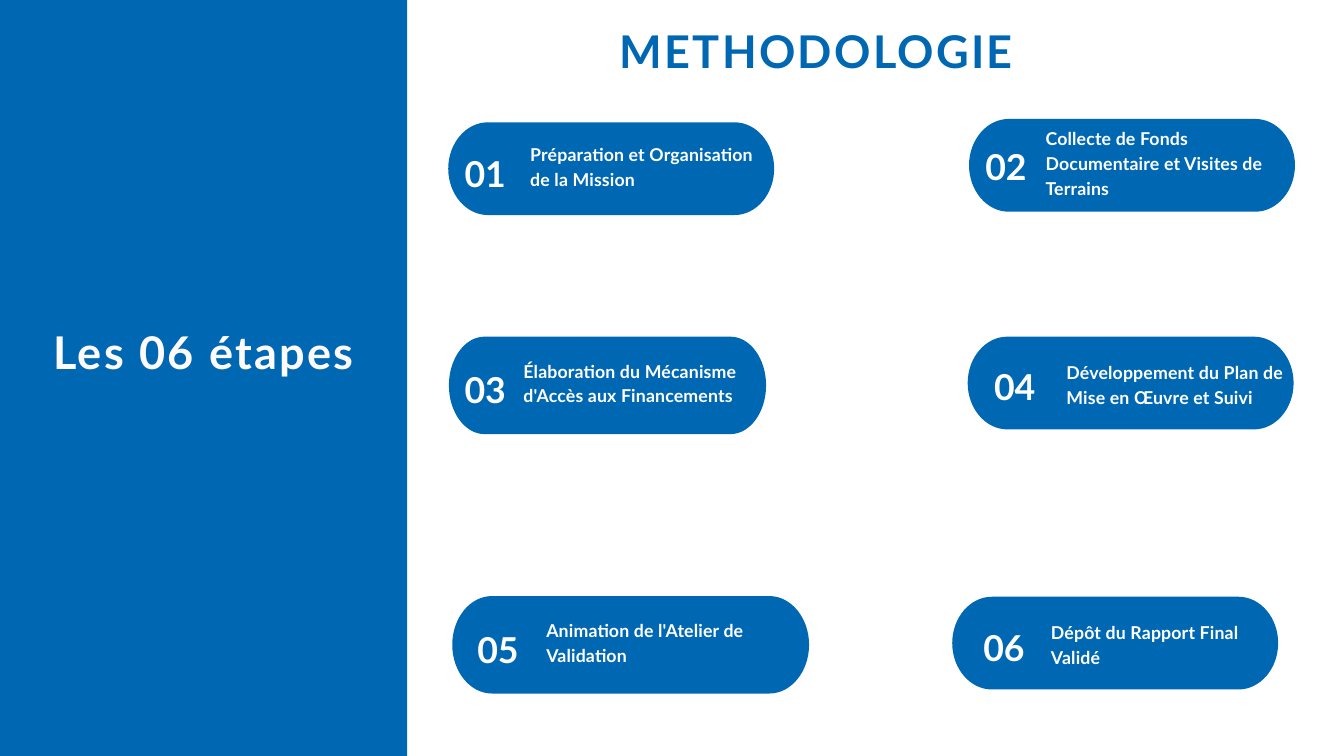
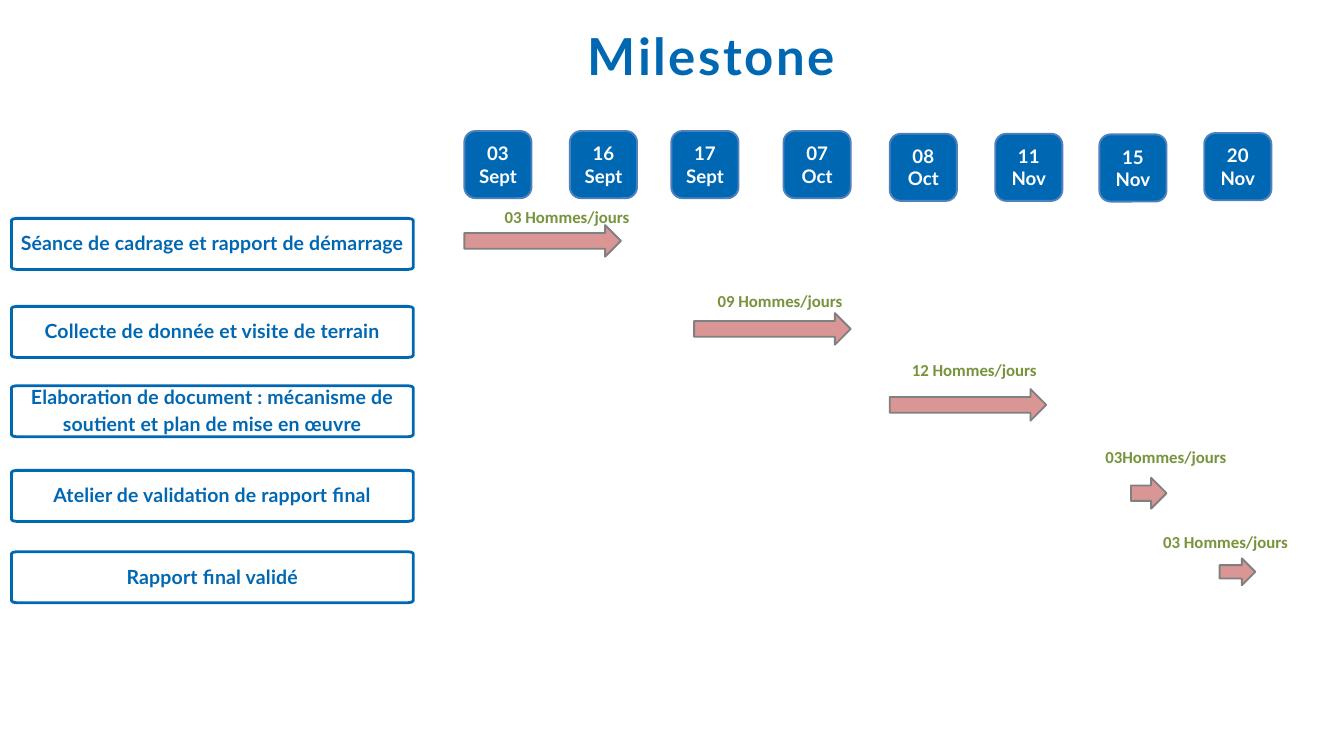
from lxml.etree import SubElement
from pptx import Presentation
from pptx.dml.color import RGBColor
from pptx.enum.shapes import MSO_SHAPE as Shape
from pptx.enum.text import MSO_ANCHOR as Anchor, MSO_AUTO_SIZE as Fit, PP_ALIGN as Align
from pptx.oxml.ns import qn
from pptx.util import Pt

PX = 9144  # 100 px to the inch
WIDE, HIGH = 2000, 1125
BEND = 0.55  # reach of a curve's handles towards its corner
HUES = {"blue": "0068B3", "rim": "4F81BD", "white": "FFFFFF", "snow": "FDFBFB",
        "rose": "D99694", "grey": "808080", "green": "77933C"}

# pill box, width of its round ends, text indent, text rise, number offset, text
STEPS = [
    ((667, 182, 485, 138), 59, 116, 11, (0, 34), "Préparation et Organisation de la Mission"),
    ((1442, 177, 485, 138), 59, 108, 11, (0, 29),
     "Collecte de Fonds Documentaire et Visites de Terrains"),
    ((668, 501, 472, 145), 53, 105, 11, (-1, 37),
     "Élaboration du Mécanisme d'Accès aux Financements"),
    ((1440, 501, 485, 138), 59, 141, 0, (15, 33),
     "Développement du Plan de Mise en Œuvre et Suivi"),
    ((673, 887, 531, 145), 59, 134, 11, (13, 38), "Animation de l'Atelier de Validation"),
    ((1417, 888, 485, 138), 59, 141, 0, (22, 33), "Dépôt du Rapport Final Validé"),
]

DATES = [(691, 195, "03 Sept"), (848, 195, "16 Sept"), (999, 195, "17\nSept"),
         (1166, 195, "07 Oct"), (1324, 199, "08 Oct"), (1481, 199, "11 Nov"),
         (1636, 200, "15\nNov"), (1792, 198, "20 Nov")]

# row top, text height, task, arrow box and effort place (both down from the top), effort
TASKS = [
    (325, 85, "Séance de cadrage et rapport de démarrage",
     (691, 10, 233, 47), (741, -23), "03 Hommes/jours"),
    (456, 85, "Collecte de donnée et visite de terrain",
     (1033, 10, 233, 47), (1058, -28), "09 Hommes/jours"),
    (574, 123, "Elaboration de document : mécanisme de soutient et plan de mise en œuvre",
     (1324, 5, 233, 47), (1347, -44), "12 Hommes/jours"),
    (700, 85, "Atelier de validation de rapport final",
     (1683, 11, 53, 46), (1635, -40), "03Hommes/jours"),
    (821, 85, "Rapport final validé",
     (1815, 10, 53, 40), (1721, -35), "03 Hommes/jours"),
]


def emu(*nums):
    return [round(n * PX) for n in nums]


def hue(name):
    return RGBColor.from_string(HUES[name])


def paint(shape, fill, line=None, width=0):
    shape.shadow.inherit = False
    shape.fill.solid()
    shape.fill.fore_color.rgb = hue(fill)
    if line:
        shape.line.color.rgb = hue(line)
        shape.line.width = Pt(width)
    else:
        shape.line.fill.background()


def write(shape, text, size, color, font="Lato", space=0, lead=None,
          align=Align.CENTER, anchor=Anchor.TOP, pad=(0, 0, 0, 0)):
    """Fill a shape with bold text, one paragraph a line; pad is left, top, right, bottom."""
    frame = shape.text_frame
    frame.word_wrap = True
    frame.auto_size = Fit.NONE
    frame.vertical_anchor = anchor
    (frame.margin_left, frame.margin_top,
     frame.margin_right, frame.margin_bottom) = emu(*pad)
    for i, line in enumerate(text.split("\n")):
        para = frame.add_paragraph() if i else frame.paragraphs[0]
        para.alignment = align
        if lead:
            para.line_spacing = Pt(lead)
        run = para.add_run()
        run.text = line
        run.font.name = font
        run.font.size = Pt(size)
        run.font.bold = True
        run.font.color.rgb = hue(color)
        if space:
            run._r.get_or_add_rPr().set("spc", str(round(space * 100)))


def label(shapes, box, text, size, color, **style):
    write(shapes.add_textbox(*emu(*box)), text, size, color, **style)


def block(shapes, kind, box, fill, line=None, width=0):
    shape = shapes.add_shape(kind, *emu(*box))
    paint(shape, fill, line, width)
    return shape


def head(slide, box, text, size, space, lead):
    title = slide.shapes.title
    title.left, title.top, title.width, title.height = emu(*box)
    write(title, text, size, "blue", space=space, lead=lead)


def bend(line, start, corner, end):
    """Turn a straight piece of an outline into a curve that hugs the corner."""
    line.tag = qn("a:cubicBezTo")
    line.clear()
    line.tag = qn("a:cubicBezTo")
    pulls = [[p + BEND * (c - p) for p, c in zip(dot, corner)] for dot in (start, end)]
    for x, y in (*pulls, end):
        SubElement(line, qn("a:pt"), x=str(round(x * PX)), y=str(round(y * PX)))


def bar(shapes, box, rx, ry, *style):
    """Draw a rectangle whose corners are quarter ellipses of rx by ry."""
    x, y, w, h = box
    corners = [(w, 0), (w, h), (0, h), (0, 0)]
    arcs = [((w - rx, 0), (w, ry)), ((w, h - ry), (w - rx, h)),
            ((rx, h), (0, h - ry)), ((0, ry), (rx, 0))]
    dots, curves = [], {}
    for corner, (start, end) in zip(corners, arcs):
        if not dots or dots[-1] != start:
            dots.append(start)
        curves[len(dots) - 1] = (start, corner, end)
        dots.append(end)
    spots = [emu(x + a, y + b) for a, b in dots]
    draft = shapes.build_freeform(*spots[0])
    draft.add_line_segments(spots[1:], close=True)
    shape = draft.convert_to_shape()
    lines = list(shape._element.iter(qn("a:lnTo")))
    for i, curve in curves.items():
        bend(lines[i], *curve)
    paint(shape, *style)


def step(slide, num, box, end, dent, rise, shift, text):
    x, y, w, h = box
    shapes = slide.shapes.add_group_shape().shapes
    bar(shapes, box, end, h / 2, "blue")
    label(shapes, (x + dent, y - rise, w - dent, h + rise), text, 19, "white",
          space=0.2, lead=26.6, align=Align.LEFT, anchor=Anchor.MIDDLE, pad=(6, 6, 6, 6))
    label(shapes, (x + shift[0], y + shift[1], 110, 70), f"{num:02}", 38.2, "white", lead=52.8)


def side(slide, box, text):
    x, y, w, h = box
    block(slide.shapes, Shape.RECTANGLE, box, "blue")
    label(slide.shapes, (x, y + 471, w, 88), text, 48.3, "snow", space=2.4, lead=66.7)


def date(slide, x, y, text):
    tile = block(slide.shapes, Shape.ROUNDED_RECTANGLE, (x, y, 100, 100), "blue", "rim", 2)
    write(tile, text, 20, "white", anchor=Anchor.MIDDLE, pad=(10, 5, 10, 5))


def task(slide, top, tall, text, arrow, place, effort):
    card = slide.shapes.add_group_shape().shapes
    bar(card, (17, top, 598, 76), 8, 3, "white", "blue", 3)
    label(card, (17, top - 9, 598, tall), text, 20.9, "blue", space=0.2, lead=29.3,
          anchor=Anchor.MIDDLE, pad=(11, 11, 11, tall - 74))
    x, drop, w, h = arrow
    block(slide.shapes, Shape.RIGHT_ARROW, (x, top + drop, w, h), "rose", "grey", 2)
    label(slide.shapes, (place[0], top + place[1], 233, 40), effort, 18, "green",
          font="Calibri", align=Align.LEFT, pad=(10, 5, 10, 5))


def method(slide):
    side(slide, (0, 0, 606, HIGH), "Les 06 étapes")
    for num, item in enumerate(STEPS, 1):
        step(slide, num, *item)
    head(slide, (683, 22, 1064, 88), "METHODOLOGIE", 48.3, 2.4, 66.7)


def plan(slide):
    head(slide, (467, 23, 1183, 99), "Milestone", 54.6, 2.7, 75.4)
    for item in DATES:
        date(slide, *item)
    for item in TASKS:
        task(slide, *item)


def main():
    deck = Presentation()
    deck.slide_width, deck.slide_height = emu(WIDE, HIGH)
    for build in (method, plan):
        build(deck.slides.add_slide(deck.slide_layouts[5]))
    deck.save("out.pptx")


if __name__ == "__main__":
    main()
